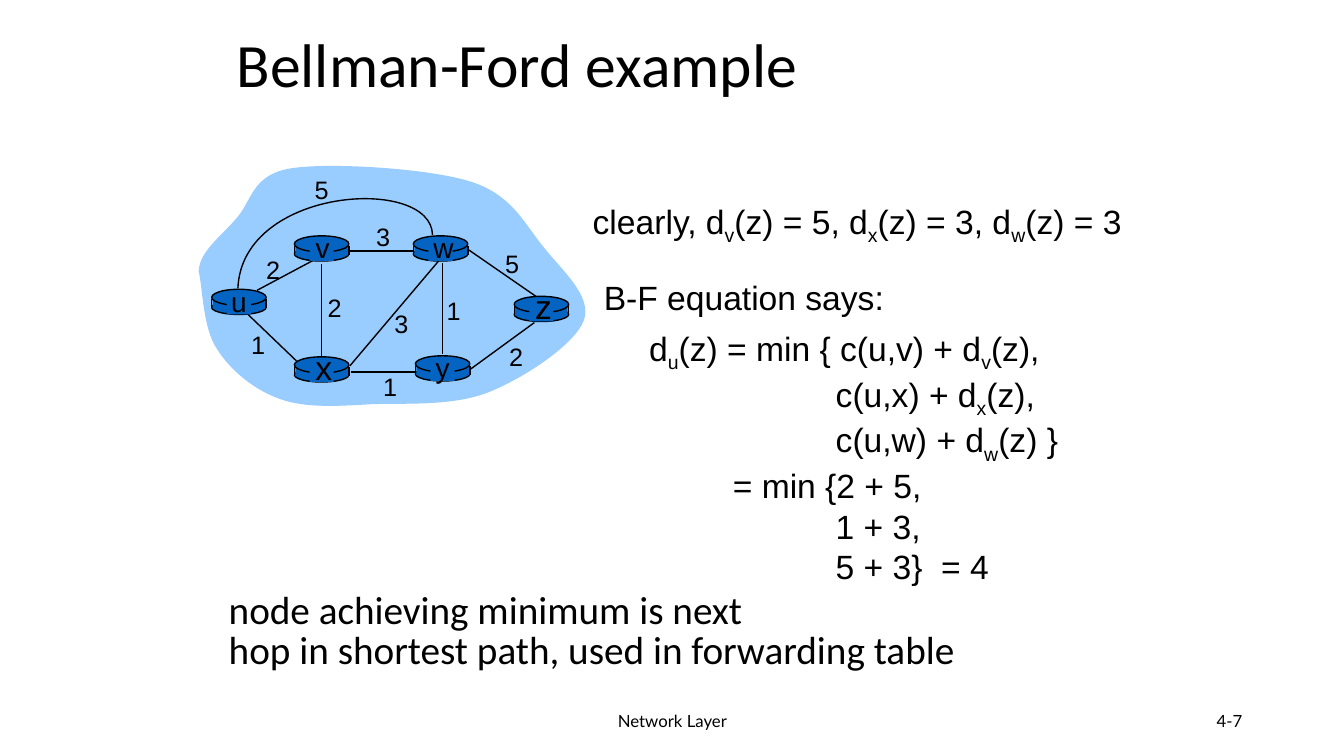
from lxml import etree
from pptx import Presentation
from pptx import util as u
from pptx.dml.color import RGBColor
from pptx.enum import shapes, text
from pptx.oxml.ns import qn

BLACK = RGBColor(0x00, 0x00, 0x00)
CLOUD_BLUE = RGBColor(0x99, 0xCC, 0xFF)
ROUTER_BLUE = RGBColor(0x05, 0x63, 0xC1)
LEFT, CENTER, RIGHT = text.PP_ALIGN.LEFT, text.PP_ALIGN.CENTER, text.PP_ALIGN.RIGHT
TOP, MIDDLE = text.MSO_ANCHOR.TOP, text.MSO_ANCHOR.MIDDLE
ELLIPSE, RECTANGLE = shapes.MSO_SHAPE.OVAL, shapes.MSO_SHAPE.RECTANGLE

presentation = Presentation()
presentation.slide_width = u.Inches(13.33)
presentation.slide_height = u.Inches(7.5)
slide = presentation.slides.add_slide(presentation.slide_layouts[6])


def add_text(box, lines, size, font="Arial", align=LEFT, anchor=TOP, spacing=None):
    frame = slide.shapes.add_textbox(*[u.Inches(length) for length in box]).text_frame
    frame.word_wrap = True
    frame.vertical_anchor = anchor
    for number, (indent, line) in enumerate(lines):
        paragraph = frame.add_paragraph() if number else frame.paragraphs[0]
        paragraph.alignment = align
        paragraph.line_spacing = spacing
        if indent:
            paragraph._p.get_or_add_pPr().set("marL", str(u.Inches(indent)))
        for position, part in enumerate(line.split("|")):
            run = paragraph.add_run()
            run.text = part
            run.font.size = u.Pt(size)
            run.font.name = font
            run.font.color.rgb = BLACK
            if position % 2:
                run.font._element.set("baseline", "-25000")


def add_line(x1, y1, x2, y2):
    line = slide.shapes.add_connector(
        shapes.MSO_CONNECTOR.STRAIGHT, u.Inches(x1), u.Inches(y1), u.Inches(x2), u.Inches(y2))
    line.line.color.rgb = BLACK
    line.line.width = u.Pt(1)
    etree.SubElement(line._element.spPr, qn("a:effectLst"))


add_text((4.42, 6.95, 4.5, 0.4), [(0, "Network Layer")], 12, "Lato", CENTER, MIDDLE)
add_text((9.42, 6.95, 3, 0.4), [(0, "4-7")], 12, "Lato", RIGHT, MIDDLE)
add_text((2.25, 0.19, 8.5, 0.96), [(0, "Bellman-Ford example")], 44, "Calibri", LEFT, MIDDLE, 0.9)

cloud = [
    (1.97, 2.69), (1.98, 2.49), (2.2, 2.34), (2.35, 2.16), (2.5, 1.99), (2.5, 1.73),
    (2.89, 1.67), (3.27, 1.61), (4.24, 1.67), (4.66, 1.8), (5.08, 1.93), (5.2, 2.22),
    (5.39, 2.45), (5.57, 2.68), (5.88, 2.94), (5.79, 3.18), (5.7, 3.42), (5.2, 3.75),
    (4.85, 3.89), (4.5, 4.03), (4.04, 4), (3.69, 4.01), (3.35, 4.03), (3.03, 4.05),
    (2.78, 3.96), (2.52, 3.87), (2.28, 3.67), (2.15, 3.46), (2.01, 3.25), (2.01, 2.85),
    (1.97, 2.69),
]
arc_u_w = [(4.29, 2.33), (4.28, 1.74), (2.4, 1.85), (2.36, 2.86)]
for controls, closed in [(cloud, True), (arc_u_w, False)]:
    start, *rest = [(u.Inches(x), u.Inches(y)) for x, y in controls]
    builder = slide.shapes.build_freeform(*start)
    builder.add_line_segments(rest, close=closed)
    outline = builder.convert_to_shape()
    segments = list(outline._element.iter(qn("a:lnTo")))
    for first in range(0, len(segments), 3):
        curve = etree.Element(qn("a:cubicBezTo"))
        segments[first].addprevious(curve)
        for segment in segments[first:first + 3]:
            curve.append(segment[0])
            segment.getparent().remove(segment)
    outline.shadow.inherit = False
    if closed:
        outline.fill.solid()
        outline.fill.fore_color.rgb = CLOUD_BLUE
        outline.line.fill.background()
    else:
        outline.fill.background()
        outline.line.color.rgb = BLACK
        outline.line.width = u.Pt(1)

edges = [
    (2.55, 2.88, 3.15, 2.56), (4.39, 2.61, 4.39, 3.51), (3.19, 2.62, 3.19, 3.55),
    (3.47, 3.63, 4.35, 2.59), (4.67, 3.66, 5.3, 3.2), (4.12, 3.69, 3.48, 3.69),
    (2.94, 3.58, 2.46, 3.12), (4.11, 2.49, 3.47, 2.49), (5.33, 2.95, 4.65, 2.48),
]
for edge in edges:
    add_line(*edge)

ROUTER_WIDTH = 0.54
router_parts = [
    (ELLIPSE, 0, 0.11, ROUTER_WIDTH, 0.14, True),
    (RECTANGLE, 0.01, 0.1, ROUTER_WIDTH - 0.02, 0.09, False),
    (ELLIPSE, 0, 0, ROUTER_WIDTH, 0.16, True),
    (RECTANGLE, 0.15, 0.02, 0.24, 0.23, False),
]
routers = [
    ("u", 2.1, 2.87, 20, 2.37), ("y", 4.12, 3.53, 20, 4.39), ("x", 2.92, 3.54, 24, 3.21),
    ("w", 4.1, 2.34, 20, 4.38), ("v", 2.92, 2.34, 20, 3.2), ("z", 5.1, 2.94, 24, 5.39),
]
for name, left, top, size, label_center in routers:
    for side in (left, left + ROUTER_WIDTH):
        add_line(side, top + 0.1, side, top + 0.19)
    for kind, dx, dy, width, height, outlined in router_parts:
        shape = slide.shapes.add_shape(
            kind, u.Inches(left + dx), u.Inches(top + dy), u.Inches(width), u.Inches(height))
        shape.shadow.inherit = False
        shape.fill.solid()
        shape.fill.fore_color.rgb = ROUTER_BLUE
        if outlined:
            shape.line.color.rgb = BLACK
            shape.line.width = u.Pt(1)
        else:
            shape.line.fill.background()
    rise, height = (0.1, 0.43) if size == 20 else (0.15, 0.5)
    add_text((label_center - 0.18, top - rise, 0.36, height), [(0, name)], size, align=CENTER)

costs = [
    ("2", 2.54, 2.47), ("2", 3.15, 2.85), ("1", 2.39, 3.22), ("3", 3.81, 3.01),
    ("1", 3.7, 3.63), ("1", 4.33, 2.88), ("2", 4.95, 3.34), ("5", 4.91, 2.41),
    ("3", 3.63, 2.15), ("5", 3.02, 1.68),
]
for cost, left, top in costs:
    add_text((left, top, 0.34, 0.4), [(0, cost)], 18, align=CENTER)

add_text((5.78, 1.94, 5.52, 0.5), [(0, "clearly, d|v|(z) = 5, d|x|(z) = 3, d|w|(z) = 3")], 24)
TERM_INDENT = 1.85
add_text((6.34, 3.2, 4.31, 2.52), [
    (0, "d|u|(z) = min { c(u,v) + d|v|(z),"),
    (TERM_INDENT, "c(u,x) + d|x|(z),"),
    (TERM_INDENT, "c(u,w) + d|w|(z) }"),
    (0.83, "= min {2 + 5,"),
    (TERM_INDENT, "1 + 3,"),
    (TERM_INDENT, "5 + 3}  = 4"),
], 24)
add_text((2.17, 5.83, 7.45, 0.9), [
    (0, "node achieving minimum is next"),
    (0, "hop in shortest path, used in forwarding table"),
], 28, "Calibri", spacing=0.85)
add_text((5.89, 2.7, 3, 0.5), [(0, "B-F equation says:")], 24)

presentation.save("out.pptx")
